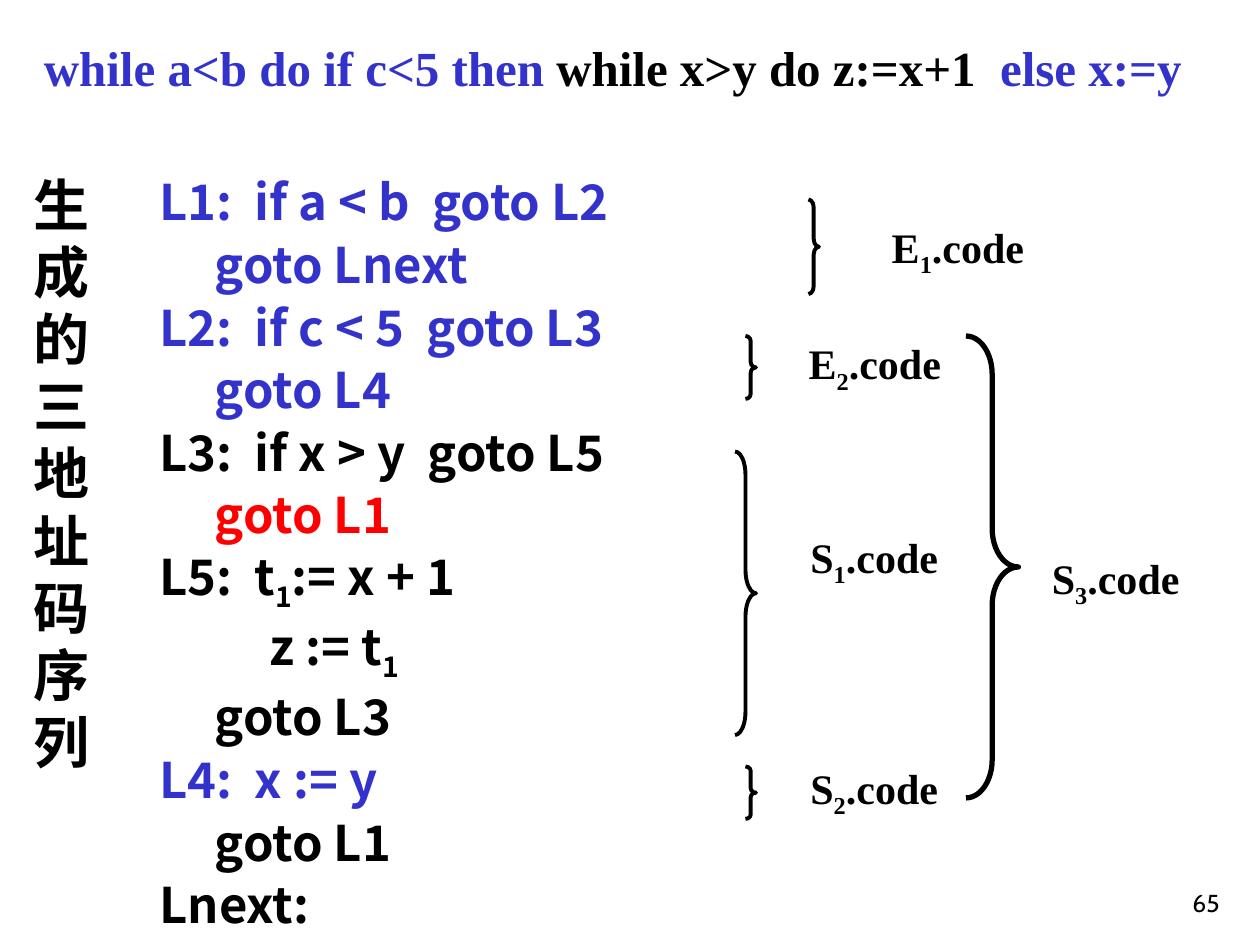
from dataclasses import dataclass
from lxml import etree
from pptx import Presentation
from pptx import util as u
from pptx.dml.color import RGBColor
from pptx.enum import shapes, text
from pptx.oxml.ns import qn

Pt = u.Pt
TOP, MID, LOW = text.MSO_ANCHOR.TOP, text.MSO_ANCHOR.MIDDLE, text.MSO_ANCHOR.BOTTOM


@dataclass(frozen=True)
class Theme:
    blue: str = "3333CC"
    black: str = "000000"
    red: str = "FF0000"
    sans: str = "Noto Sans CJK JP"
    serif: str = "Times New Roman"
    foot: str = "Cabin"
    head: int = 32
    code: int = 28
    label: int = 24
    page: int = 14


class Deck:
    def __init__(self, theme):
        self.theme = theme
        self.prs = Presentation()
        self.prs.slide_width, self.prs.slide_height = Pt(720), Pt(540)
        self.slide = self.prs.slides.add_slide(self.prs.slide_layouts[6])

    def run(self, para, words, face, size, color, bold, sub=False):
        run = para.add_run()
        run.text = words
        for key, val in {"name": face, "size": Pt(size), "bold": bold}.items():
            setattr(run.font, key, val)
        run.font.color.rgb = RGBColor.from_string(color)
        props = run._r.get_or_add_rPr()
        etree.SubElement(props, qn("a:ea")).set("typeface", face)
        if sub:
            props.set("baseline", "-25000")

    def text(self, box, lines, face, size, bold=True, anchor=TOP, wrap=True,
             hang=0, sub_gap=0, **form):
        """Each line is a list of (words, colour); "_" makes the next letter a subscript."""
        frame = self.slide.shapes.add_textbox(*map(Pt, box)).text_frame
        frame.word_wrap, frame.vertical_anchor = wrap, anchor
        for i, line in enumerate(lines):
            para = frame.paragraphs[0] if i == 0 else frame.add_paragraph()
            for key, val in form.items():
                if i or key != "space_before":
                    setattr(para, key, val)
            if sub_gap and any("_" in words for words, _ in line):
                para.space_before += Pt(sub_gap)
            if hang:
                props = para._p.get_or_add_pPr()
                props.set("marL", str(Pt(hang)))
                props.set("indent", str(-Pt(hang)))
            for words, color in line:
                first, *rest = words.split("_")
                self.run(para, first, face, size, color, bold)
                for part in rest:
                    self.run(para, part[0], face, size, color, bold, sub=True)
                    if part[1:]:
                        self.run(para, part[1:], face, size, color, bold)

    def brace(self, box, curve, width=2.25):
        shape = self.slide.shapes.add_shape(
            shapes.MSO_SHAPE.RIGHT_BRACE, *map(Pt, box))
        shape.adjustments[0] = curve
        shape.shadow.inherit = False
        shape.fill.background()
        shape.line.color.rgb = RGBColor.from_string(self.theme.black)
        shape.line.width = Pt(width)

    def label(self, x, y, name, width):
        t = self.theme
        self.text((x, y, width, 36), [[(name, t.black)]], t.serif, t.label, wrap=False)


def main():
    t = Theme()
    deck = Deck(t)

    # Vertical title, one character per line
    deck.text((12, 30, 48, 480), [[("生成的三地址码序列", t.black)]], t.sans, t.head,
              anchor=MID, line_spacing=Pt(38.4))

    # Three-address code
    pad = " " * 5
    code = [
        [("L1:  if a < b  goto L2", t.blue)],
        [(pad + "goto Lnext", t.blue)],
        [("L2:  if c < 5  goto L3", t.blue)],
        [(pad + "goto L4", t.blue)],
        [("L3:  if x > y  goto L5", t.black)],
        [(pad + "goto L1", t.red)],
        [("L5:  t_1:= x + 1", t.black)],
        [("\t\tz := t_1", t.black)],
        [(pad + "goto L3", t.black)],
        [("L4:  x := y", t.blue)],
        [(pad + "goto L1", t.black)],
        [("Lnext:", t.black)],
    ]
    deck.text((84, 98, 342, 442), code, t.sans, t.code, hang=27, sub_gap=4,
              line_spacing=Pt(30.2), space_before=Pt(5.6))

    # Braces and the code part each one marks
    parts = [
        ((462, 114, 6, 54), 0.75, 2.25, (502.5, 123, "E_1.code", 91.5)),
        ((426, 192, 6, 36), 0.5, 2.25, (455, 189.5, "E_2.code", 91.5)),
        ((420, 258, 12, 162), 1.12, 2.25, (456, 300, "S_1.code", 88.5)),
        ((426, 438, 6, 30), 0.42, 2.25, (456, 432, "S_2.code", 88.5)),
        ((552, 192, 30, 264), 0.73, 3, (594, 312, "S_3.code", 88.5)),
    ]
    for box, curve, width, label in parts:
        deck.brace(box, curve, width)
        deck.label(*label)

    # Source statement
    deck.text((18, 18, 684, 41), [[("while a<b do if c<5 then ", t.blue),
                                   ("while x>y do z:=x+1  ", t.black),
                                   ("else x:=y", t.blue)]], t.serif, t.code)

    # Page number
    deck.text((554, 492, 150, 36), [[("65", t.black)]], t.foot, t.page, bold=False,
              anchor=LOW, alignment=text.PP_ALIGN.RIGHT)

    deck.prs.save("out.pptx")


if __name__ == "__main__":
    main()
